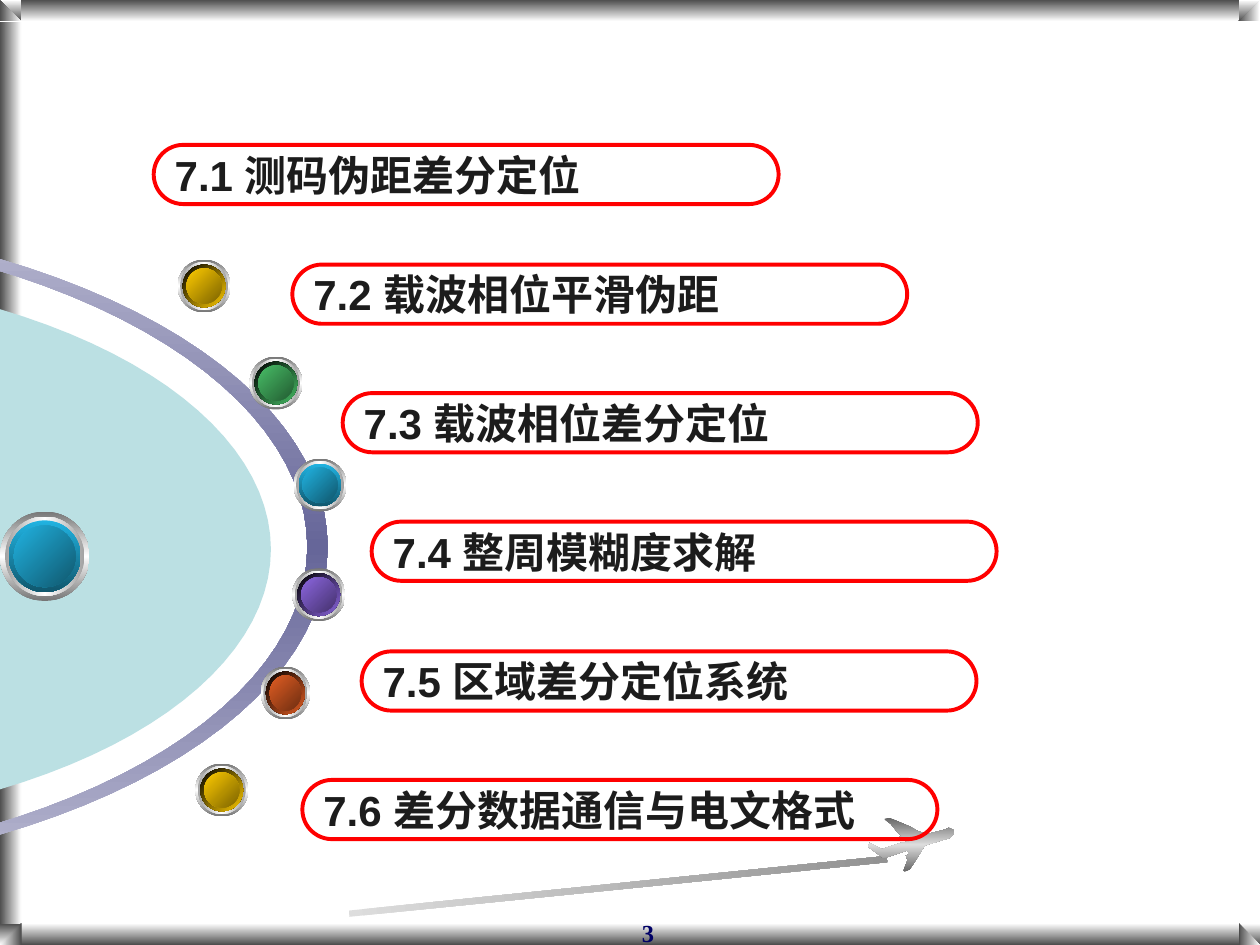
import math
from copy import deepcopy
from dataclasses import dataclass

from pptx import Presentation
from pptx import util as u
from pptx.dml.color import RGBColor
from pptx.enum import shapes, text
from pptx.oxml.ns import qn

EMU_PER_PX = 9144  # 100 px to the inch


@dataclass(frozen=True)
class Theme:
    shade: str = "4D4D4D"
    white: str = "FFFFFF"
    black: str = "000000"
    disc: str = "BBE0E3"
    outline: str = "FF0000"
    ink: str = "1C1C1C"
    number: str = "000066"
    arc: tuple = ("B9B9D1", "666699", "B9B9D1")
    trail: tuple = ("DDDDDD", "929292")
    plane: tuple = ("666666", "DDDDDD", "666666")
    metal: tuple = ("767676", "FFFFFF", "767676")
    silver: tuple = ("A2A2A2", "FFFFFF", "A2A2A2")
    gold: tuple = ("FFCC00", "7C6300")
    green: tuple = ("48BE67", "235C32")
    cyan: tuple = ("21B3E1", "10576D")
    violet: tuple = ("8D67E1", "45326D")
    rust: tuple = ("E35E23", "6E2E11")
    label_size: int = 24
    number_size: int = 14
    line_width: float = 2.25


def px(length):
    return u.Emu(round(length * EMU_PER_PX))


def half_ellipse(center_x, center_y, radius_x, radius_y, steps=60):
    """Points of the right half of an ellipse, from top to bottom."""
    angles = [math.pi * (i / steps - 0.5) for i in range(steps + 1)]
    return [(center_x + radius_x * math.cos(a), center_y + radius_y * math.sin(a))
            for a in angles]


class SlidePainter:
    def __init__(self, slide, theme):
        self.slide = slide
        self.theme = theme

    def paint(self, shape, fill, angle=0):
        """Fill with one colour or a clockwise gradient; no line, no shadow."""
        shape.shadow.inherit = False
        shape.line.fill.background()
        if isinstance(fill, str):
            shape.fill.solid()
            shape.fill.fore_color.rgb = RGBColor.from_string(fill)
            return shape
        shape.fill.gradient()
        shape.fill.gradient_angle = -angle % 360
        stop_list = next(shape._element.spPr.iter(qn("a:gsLst")))
        while len(stop_list) < len(fill):
            stop_list.append(deepcopy(stop_list[0]))
        for i, (stop, color) in enumerate(zip(shape.fill.gradient_stops, fill)):
            stop.position = i / (len(fill) - 1)
            stop.color.rgb = RGBColor.from_string(color)
        return shape

    def preset(self, kind, bounds, fill, angle=0, rotation=0, flip=""):
        shape = self.slide.shapes.add_shape(kind, *map(px, bounds))
        shape.rotation = rotation
        for axis in flip:
            shape._element.spPr.xfrm.set("flip" + axis, "1")
        return self.paint(shape, fill, angle)

    def outline(self, points, fill, angle=0):
        start, *rest = [(px(x), px(y)) for x, y in points]
        builder = self.slide.shapes.build_freeform(*start)
        builder.add_line_segments(rest, close=True)
        return self.paint(builder.convert_to_shape(), fill, angle)

    def bead(self, x, y, width, height, colors, rim, rim_angle=45):
        layers = [(0, self.theme.metal, 90), (0.055, self.theme.silver, 0),
                  (0.105, rim, rim_angle), (0.16, colors, 45)]
        for share, fill, angle in layers:
            inset = round(height * share)
            bounds = (x + inset, y + inset, width - 2 * inset, height - 2 * inset)
            self.preset(shapes.MSO_SHAPE.OVAL, bounds, fill, angle)

    def add_words(self, shape, words, align, color, font_format):
        shape.text_frame.word_wrap = True
        para = shape.text_frame.paragraphs[0]
        para.alignment = align
        span = para.add_run()
        span.text = words
        for name, value in font_format.items():
            setattr(span.font, name, value)
        span.font.color.rgb = RGBColor.from_string(color)

    def label(self, words, bounds):
        pill = self.slide.shapes.add_shape(
            shapes.MSO_SHAPE.ROUNDED_RECTANGLE, *map(px, bounds))
        pill.adjustments[0] = 0.5
        pill.shadow.inherit = False
        pill.fill.background()
        pill.line.color.rgb = RGBColor.from_string(self.theme.outline)
        pill.line.width = u.Pt(self.theme.line_width)
        pill.text_frame.vertical_anchor = text.MSO_ANCHOR.MIDDLE
        font_format = {"name": "Arial", "bold": True, "size": u.Pt(self.theme.label_size)}
        self.add_words(pill, words, text.PP_ALIGN.LEFT, self.theme.ink, font_format)

    def page_number(self, words, bounds):
        box = self.slide.shapes.add_textbox(*map(px, bounds))
        font_format = {"name": "Times New Roman", "bold": True,
                       "size": u.Pt(self.theme.number_size)}
        self.add_words(box, words, text.PP_ALIGN.RIGHT, self.theme.number, font_format)


PLANE = [
    (757, 660), (757, 659), (755, 658), (753, 657), (751, 658), (748, 659), (744, 660),
    (740, 661), (736, 662), (733, 661), (729, 660), (722, 656), (715, 653), (708, 650),
    (706, 649), (702, 650), (703, 651), (707, 654), (711, 659), (716, 664), (714, 664),
    (715, 667), (720, 666), (720, 668), (715, 669), (709, 671), (700, 674), (696, 672),
    (692, 670), (690, 669), (689, 672), (701, 681), (705, 680), (711, 678), (720, 675),
    (722, 678), (719, 679), (720, 682), (721, 681), (717, 691), (718, 692), (722, 690),
    (726, 684), (734, 671), (744, 668), (754, 665), (757, 662),
]

LABELS = [
    ("7.1 测码伪距差分定位", 122, 115, 496),
    ("7.2 载波相位平滑伪距", 232, 210, 488),
    ("7.3 载波相位差分定位", 272, 312, 504),
    ("7.4 整周模糊度求解", 295, 414, 496),
    ("7.5 区域差分定位系统", 287, 517, 488),
    ("7.6 差分数据通信与电文格式", 240, 619, 504),
]


def draw_frame(painter):
    theme = painter.theme
    inward, outward = (theme.shade, theme.white), (theme.white, theme.shade)
    edge, right, bottom = 17, 983, 733
    bars = [((0, edge, edge, 725), inward, 0),
            ((edge, bottom, 967, edge), outward, 90),
            ((0, 0, 1000, edge), inward, 90)]
    for bounds, fill, angle in bars:
        painter.preset(shapes.MSO_SHAPE.RECTANGLE, bounds, fill, angle)
    corners = [(0, 0, inward, 90, 0, "HV"), (0, 0, inward, 0, 0, ""),
               (right, 0, outward, 0, 0, "H"), (right, 0, inward, 90, 0, "V"),
               (right, bottom, outward, 0, 270, "H"),
               (right, bottom, outward, 90, 270, "V"),
               (0, bottom, outward, 90, 90, "HV"), (0, bottom, inward, 0, 90, "")]
    for x, y, fill, angle, rotation, flip in corners:
        painter.preset(shapes.MSO_SHAPE.RIGHT_TRIANGLE, (x, y, edge, edge),
                       fill, angle, rotation, flip)


def draw_beads(painter):
    theme = painter.theme
    beads = [(141, 206, 42, 42, theme.gold), (198, 283, 42, 42, theme.green),
             (233, 364, 42, 42, theme.cyan), (232, 451, 42, 42, theme.violet),
             (207, 529, 39, 42, theme.rust), (155, 606, 42, 42, theme.gold),
             (0, 406, 71, 71, theme.cyan)]
    for x, y, width, height, colors in beads:
        if colors == theme.cyan:
            painter.bead(x, y, width, height, colors, colors, 90)
        else:
            painter.bead(x, y, width, height, colors, (theme.black, colors[0]))


def main():
    deck = Presentation()
    deck.slide_width, deck.slide_height = px(1000), px(750)
    theme = Theme()
    painter = SlidePainter(deck.slides.add_slide(deck.slide_layouts[6]), theme)

    draw_frame(painter)
    painter.preset(shapes.MSO_SHAPE.RECTANGLE, (276, 701, 429, 5), theme.trail,
                   rotation=354.2)
    painter.outline(PLANE, theme.plane, 90)
    painter.page_number("3", (433, 724, 96, 33))

    outer = half_ellipse(-262, 434, 522, 264)
    inner = half_ellipse(-262, 434, 506, 256)
    painter.outline(outer + inner[::-1], theme.arc, 90)
    painter.outline(half_ellipse(-215, 436, 430, 220), theme.disc)
    draw_beads(painter)
    for words, x, y, width in LABELS:
        painter.label(words, (x, y, width, 47))

    deck.save("out.pptx")


if __name__ == "__main__":
    main()
